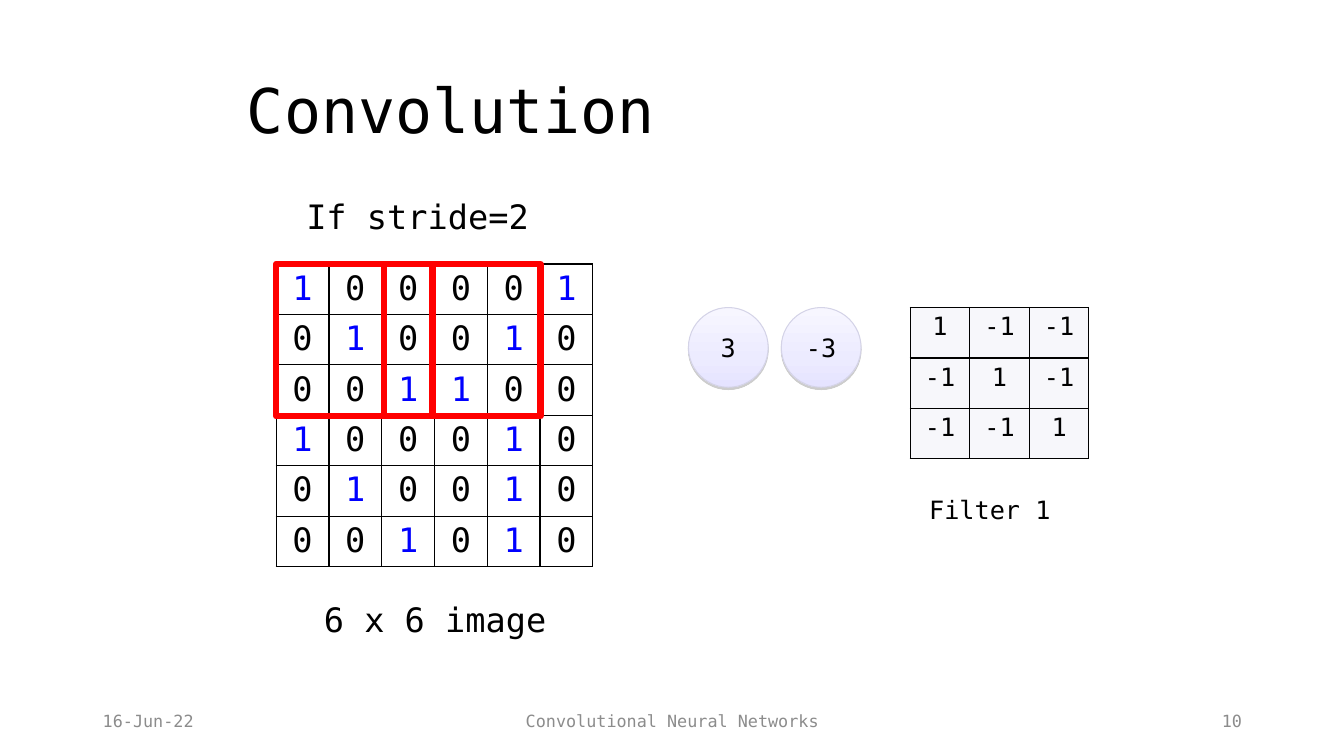
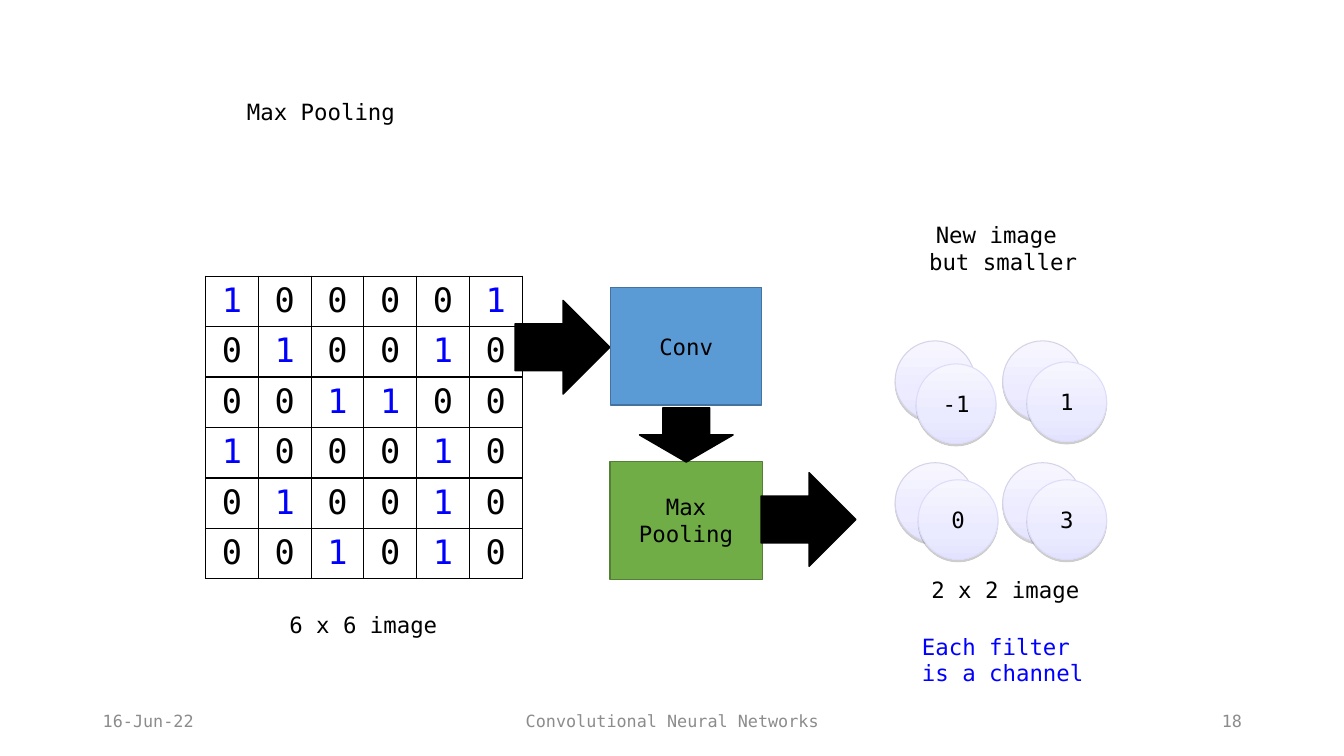
"""Build two slides on convolution with stride and on max pooling."""
from pptx import Presentation
from pptx.dml.color import RGBColor
from pptx.enum.shapes import MSO_SHAPE
from pptx.enum.text import MSO_ANCHOR, MSO_AUTO_SIZE, PP_ALIGN
from pptx.oxml import parse_xml
from pptx.oxml.ns import nsdecls
from pptx.util import Cm, Pt

FONT = "DejaVu Sans Mono"
BLACK = RGBColor(0x00, 0x00, 0x00)
BLUE = RGBColor(0x00, 0x00, 0xFF)
RED = RGBColor(0xFF, 0x00, 0x00)
GRAY = RGBColor(0x8C, 0x8C, 0x8C)
FILTER_FILL = RGBColor(0xF7, 0xF7, 0xFB)
CONV_FILL = RGBColor(0x5B, 0x9B, 0xD5)
CONV_LINE = RGBColor(0x43, 0x73, 0x9E)
POOL_FILL = RGBColor(0x70, 0xAD, 0x47)
POOL_LINE = RGBColor(0x53, 0x80, 0x35)
BACK_LINE = RGBColor(0xD4, 0xD3, 0xE7)
FRONT_LINE = RGBColor(0xDC, 0xDC, 0xFA)
BACK_STOPS = [RGBColor(0xF7, 0xF6, 0xFF), RGBColor(0xEC, 0xEB, 0xFF), RGBColor(0xE5, 0xE3, 0xFF)]
FRONT_STOPS = [RGBColor(0xF6, 0xF6, 0xFF), RGBColor(0xEB, 0xEB, 0xFF), RGBColor(0xE3, 0xE3, 0xFF)]

LEFT, CENTER, RIGHT = PP_ALIGN.LEFT, PP_ALIGN.CENTER, PP_ALIGN.RIGHT
ROW_HEIGHT = 1.27
CIRCLE_SIZE = 2.01


def write_text(frame, text, size, color=BLACK, align=CENTER):
    """Fill a text frame with one paragraph per line of text."""
    frame.word_wrap = True
    for index, line in enumerate(text.split("\n")):
        para = frame.add_paragraph() if index else frame.paragraphs[0]
        para.alignment = align
        span = para.add_run()
        span.text = line
        for name, value in {"name": FONT, "size": Pt(size)}.items():
            setattr(span.font, name, value)
        span.font.color.rgb = color


def draw_shape(slide, kind, bounds, fill, line_color, line_width, text="", size=16):
    """Draw a flat preset shape; a list of colours as fill makes a shaded, raised one."""
    shape = slide.shapes.add_shape(kind, *map(Cm, bounds))
    shape.shadow.inherit = False
    if fill is None:
        shape.fill.background()
    elif isinstance(fill, list):
        stops = "".join(
            f'<a:gs pos="{position}"><a:srgbClr val="{color}"/></a:gs>'
            for position, color in zip((0, 65000, 100000), fill))
        properties = shape.element.spPr
        properties.prstGeom.addnext(parse_xml(
            f'<a:gradFill {nsdecls("a")} rotWithShape="1"><a:gsLst>{stops}</a:gsLst>'
            '<a:lin ang="5400000" scaled="0"/></a:gradFill>'))
        properties.effectLst.append(parse_xml(
            f'<a:outerShdw {nsdecls("a")} blurRad="0" dist="20320" dir="5400000" rotWithShape="0">'
            '<a:srgbClr val="808080"><a:alpha val="38000"/></a:srgbClr></a:outerShdw>'))
    else:
        shape.fill.solid()
        shape.fill.fore_color.rgb = fill
    shape.line.color.rgb = line_color
    shape.line.width = Pt(line_width)
    if text:
        shape.text_frame.vertical_anchor = MSO_ANCHOR.MIDDLE
        write_text(shape.text_frame, text, size)
    return shape


deck = Presentation()
deck.slide_width, deck.slide_height = Cm(33.87), Cm(19.05)

for title_text, title_size, number in [("Convolution", 44, "10"), ("Max Pooling", 16, "18")]:
    page = deck.slides.add_slide(deck.slide_layouts[5])
    title = page.shapes.title
    bounds = {"left": 5.97, "top": 1.02, "width": 21.9, "height": 3.68}
    for name, value in bounds.items():
        setattr(title, name, Cm(value))
    title.text_frame.auto_size = MSO_AUTO_SIZE.NONE
    title.text_frame.vertical_anchor = MSO_ANCHOR.MIDDLE
    write_text(title.text_frame, title_text, title_size, align=LEFT)
    title.text_frame.paragraphs[0].line_spacing = 0.9
    for left, width, text, align in [
        (2.34, 7.62, "16-Jun-22", LEFT),
        (11.23, 11.43, "Convolutional Neural Networks", CENTER),
        (23.93, 7.62, number, RIGHT),
    ]:
        footer = page.shapes.add_textbox(Cm(left), Cm(17.65), Cm(width), Cm(1.02))
        footer.text_frame.vertical_anchor = MSO_ANCHOR.MIDDLE
        write_text(footer.text_frame, text, 12, GRAY, align)

convolution, pooling = deck.slides

image_rows = ["100001", "010010", "001100", "100010", "010010", "001010"]
image_values = [list(row) for row in image_rows]
filter_values = [["1" if row == column else "-1" for column in range(3)] for row in range(3)]
for page, left, top, column_width, values, size, one_color, fill in [
    (convolution, 6.96, 6.65, 1.33, image_values, 24, BLUE, None),
    (convolution, 22.94, 7.75, 1.5, filter_values, 18, BLACK, FILTER_FILL),
    (pooling, 5.18, 6.96, 1.33, image_values, 24, BLUE, None),
]:
    count = len(values)
    table = page.shapes.add_table(
        count, count, Cm(left), Cm(top), Cm(column_width * count), Cm(ROW_HEIGHT * count)).table
    table.first_row = table.horz_banding = False
    for column in table.columns:
        column.width = Cm(column_width)
    for row, row_values in zip(table.rows, values):
        row.height = Cm(ROW_HEIGHT)
        for cell, value in zip(row.cells, row_values):
            write_text(cell.text_frame, value, size, one_color if value == "1" else BLACK)
            if fill is None:
                cell.fill.background()
            else:
                cell.fill.solid()
                cell.fill.fore_color.rgb = fill
            cell_properties = cell._tc.get_or_add_tcPr()
            for index, side in enumerate(("lnL", "lnR", "lnT", "lnB")):
                cell_properties.insert(index, parse_xml(
                    f'<a:{side} {nsdecls("a")} w="12700"><a:solidFill>'
                    f'<a:srgbClr val="{BLACK}"/></a:solidFill></a:{side}>'))

for page, bounds, text, size, color, align in [
    (convolution, (7.47, 4.8, 6.5, 1.27), "If stride=2", 24, BLACK, LEFT),
    (convolution, (7.7, 14.96, 6.53, 1.27), "6 x 6 image", 24, BLACK, CENTER),
    (convolution, (22.94, 12.32, 4.01, 1.02), "Filter 1", 18, BLACK, CENTER),
    (pooling, (5.89, 15.27, 6.53, 0.94), "6 x 6 image", 16, BLACK, CENTER),
    (pooling, (22.12, 5.44, 6.32, 1.63), "New image \nbut smaller", 16, BLACK, CENTER),
    (pooling, (22.07, 14.4, 6.53, 0.94), "2 x 2 image", 16, BLACK, CENTER),
    (pooling, (22.12, 15.82, 6.3, 1.63), "Each filter \nis a channel", 16, BLUE, CENTER),
]:
    label = page.shapes.add_textbox(*map(Cm, bounds))
    write_text(label.text_frame, text, size, color, align)

for left in (6.96, 9.68):
    draw_shape(convolution, MSO_SHAPE.RECTANGLE, (left, 6.65, 3.94, 3.84), None, RED, 4.5)

for page, left, top, text, size, stops, line_color in [
    (convolution, 17.35, 7.75, "3", 18, BACK_STOPS, BACK_LINE),
    (convolution, 19.69, 7.75, "-3", 18, BACK_STOPS, BACK_LINE),
    (pooling, 22.56, 8.59, "", 16, BACK_STOPS, BACK_LINE),
    (pooling, 25.27, 8.59, "", 16, BACK_STOPS, BACK_LINE),
    (pooling, 25.27, 11.66, "", 16, BACK_STOPS, BACK_LINE),
    (pooling, 22.56, 11.66, "", 16, BACK_STOPS, BACK_LINE),
    (pooling, 23.09, 9.17, "-1", 16, FRONT_STOPS, FRONT_LINE),
    (pooling, 25.88, 9.12, "1", 16, FRONT_STOPS, FRONT_LINE),
    (pooling, 25.88, 12.09, "3", 16, FRONT_STOPS, FRONT_LINE),
    (pooling, 23.14, 12.09, "0", 16, FRONT_STOPS, FRONT_LINE),
]:
    bounds = (left, top, CIRCLE_SIZE, CIRCLE_SIZE)
    draw_shape(page, MSO_SHAPE.OVAL, bounds, stops, line_color, 0.75, text, size)

for kind, bounds, fill, line_color, text, rotation in [
    (MSO_SHAPE.RIGHT_ARROW, (12.98, 7.57, 2.39, 2.36), BLACK, BLACK, "", 0),
    (MSO_SHAPE.RECTANGLE, (15.39, 7.24, 3.81, 2.97), CONV_FILL, CONV_LINE, "Conv", 0),
    (MSO_SHAPE.RECTANGLE, (15.37, 11.63, 3.84, 2.97), POOL_FILL, POOL_LINE, "Max\nPooling", 0),
    (MSO_SHAPE.RIGHT_ARROW, (19.18, 11.91, 2.39, 2.36), BLACK, BLACK, "", 0),
    (MSO_SHAPE.RIGHT_ARROW, (16.61, 9.78, 1.37, 2.36), BLACK, BLACK, "", 90),
]:
    draw_shape(pooling, kind, bounds, fill, line_color, 1, text).rotation = rotation

deck.save("out.pptx")
